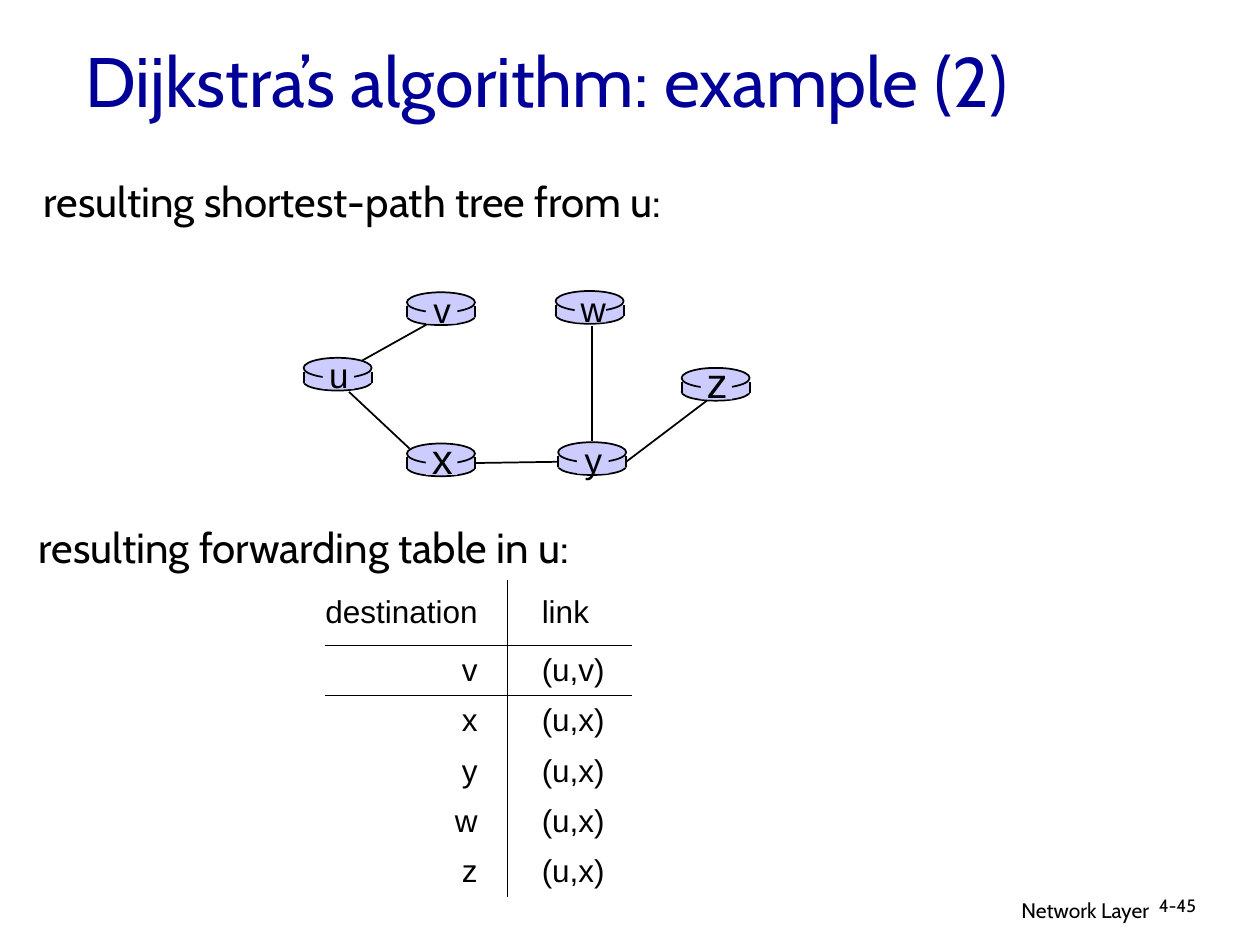
import pptx
import pptx.util
import pptx.dml.color
import pptx.enum.shapes
import pptx.enum.text
import pptx.oxml
import lxml.etree

Inches = pptx.util.Inches
Pt = pptx.util.Pt
MSO_SHAPE = pptx.enum.shapes.MSO_SHAPE
ALIGN = pptx.enum.text.PP_ALIGN
ANCHOR = pptx.enum.text.MSO_ANCHOR
COLORS = {"title": "000099", "ink": "000000", "router": "CCCCFF"}
NAMESPACE = "http://schemas.openxmlformats.org/drawingml/2006/main"

deck = pptx.Presentation()
deck.slide_width = Inches(10)
deck.slide_height = Inches(7.5)
page = deck.slides.add_slide(deck.slide_layouts[6])
ink = pptx.dml.color.RGBColor.from_string(COLORS["ink"])
router_color = pptx.dml.color.RGBColor.from_string(COLORS["router"])


def add_text(text, left, top, width, height, size, font="Cabin", color="ink", align=ALIGN.LEFT, wrap=True):
    box = page.shapes.add_textbox(Inches(left), Inches(top), Inches(width), Inches(height))
    box.text_frame.word_wrap = wrap
    box.text_frame.text = text
    para = box.text_frame.paragraphs[0]
    para.alignment = align
    span = para.runs[0]
    span.font.size = Pt(size)
    span.font.name = font
    span.font.color.rgb = pptx.dml.color.RGBColor.from_string(COLORS[color])
    return box


def add_line(x1, y1, x2, y2):
    line = page.shapes.add_connector(
        pptx.enum.shapes.MSO_CONNECTOR.STRAIGHT, Inches(x1), Inches(y1), Inches(x2), Inches(y2))
    line.line.color.rgb = ink
    line.line.width = Pt(1)
    lxml.etree.SubElement(line._element.spPr, f"{{{NAMESPACE}}}effectLst")
    return line


add_text("Network Layer", 6.05, 7.07, 3.17, 0.31, 12, align=ALIGN.RIGHT)
page_number = add_text("4-45", 9.1, 7.07, 0.74, 0.3, 10.2)
page_number.text_frame.paragraphs[0].line_spacing = 0.9
title = add_text("Dijkstra’s algorithm: example (2)", 0.58, 0.17, 8.5, 0.93, 40, color="title")
title.text_frame.vertical_anchor = ANCHOR.MIDDLE
add_text("resulting shortest-path tree from u:", 0.25, 1.34, 5.75, 0.5, 24, wrap=False)
add_text("resulting forwarding table in u:", 0.21, 4.09, 5.06, 0.5, 24, wrap=False)

add_line(2.86, 2.87, 3.45, 2.54)

routers = {
    "u": (2.41, 2.96, 20),
    "x": (3.23, 3.64, 24),
    "v": (3.23, 2.44, 20),
    "w": (4.41, 2.43, 20),
    "y": (4.43, 3.63, 20),
    "z": (5.41, 3.04, 24),
}
sides = {}
for name, (left, top, size) in routers.items():
    parts = [
        (MSO_SHAPE.OVAL, top, 0.14),
        (MSO_SHAPE.RECTANGLE, top - 0.01, 0.09),
        (MSO_SHAPE.OVAL, top - 0.12, 0.16),
    ]
    for kind, part_top, height in parts:
        part = page.shapes.add_shape(kind, Inches(left), Inches(part_top), Inches(0.54), Inches(height))
        part.shadow.inherit = False
        part.fill.solid()
        part.fill.fore_color.rgb = router_color
        if kind == MSO_SHAPE.RECTANGLE:
            part.line.fill.background()
            sides[name] = part
            for edge in (left, left + 0.54):
                add_line(edge, part_top, edge, part_top + 0.09)
        else:
            part.line.color.rgb = ink
            part.line.width = Pt(1)

add_line(4.7, 2.59, 4.7, 3.5)
link_yz = add_line(4.98, 3.65, 5.61, 3.18)
link_yz.begin_connect(sides["y"], 3)
link_yx = add_line(4.43, 3.67, 3.78, 3.67)
link_yx.begin_connect(sides["y"], 1)
link_yx.end_connect(sides["x"], 3)
add_line(3.25, 3.56, 2.77, 3.11)

for name, (left, top, size) in routers.items():
    patch = page.shapes.add_shape(
        MSO_SHAPE.RECTANGLE, Inches(left + 0.15), Inches(top - 0.1), Inches(0.25), Inches(0.23))
    patch.shadow.inherit = False
    patch.fill.solid()
    patch.fill.fore_color.rgb = router_color
    patch.line.fill.background()
    height = 0.44 if size == 20 else 0.5
    label_top = top - 0.2 if size == 20 else top - 0.26
    add_text(name, left + 0.1, label_top, 0.36, height, size, "Arial", align=ALIGN.CENTER, wrap=False)

rows = [
    ("destination", "link"),
    ("v", "(u,v)"),
    ("x", "(u,x)"),
    ("y", "(u,x)"),
    ("w", "(u,x)"),
    ("z", "(u,x)"),
]
table = page.shapes.add_table(len(rows), 2, Inches(2.58), Inches(4.6), Inches(2.44), Inches(2.52)).table
table.first_row = False
table.horz_banding = False
table._tbl.tblPr.find(f"{{{NAMESPACE}}}tableStyleId").text = "{2D5ABB26-0587-4C30-8999-92F81FD0307C}"
table.columns[0].width = Inches(1.45)
table.columns[1].width = Inches(0.99)
for row_index, row in enumerate(rows):
    table.rows[row_index].height = Inches(0.4 if row_index else 0.52)
    for column_index, text in enumerate(row):
        cell = table.cell(row_index, column_index)
        cell.text_frame.text = text
        cell.fill.background()
        cell.vertical_anchor = ANCHOR.MIDDLE
        cell.margin_left = Inches(0.27 if column_index else 0)
        cell.margin_right = Inches(0 if column_index else 0.24)
        cell.margin_top = cell.margin_bottom = Inches(0.02)
        para = cell.text_frame.paragraphs[0]
        para.alignment = ALIGN.LEFT if column_index else ALIGN.RIGHT
        span = para.runs[0]
        span.font.size = Pt(18)
        span.font.name = "Arial"
        span.font.color.rgb = ink
        borders = ["lnL" if column_index else "lnR"]
        if row_index < 2:
            borders.append("lnT" if row_index else "lnB")
        for position, border in enumerate(borders):
            cell._tc.get_or_add_tcPr().insert(position, pptx.oxml.parse_xml(
                f'<a:{border} xmlns:a="{NAMESPACE}" w="{Pt(0.75)}"><a:solidFill>'
                f'<a:srgbClr val="{COLORS["ink"]}"/></a:solidFill></a:{border}>'))

deck.save("out.pptx")
